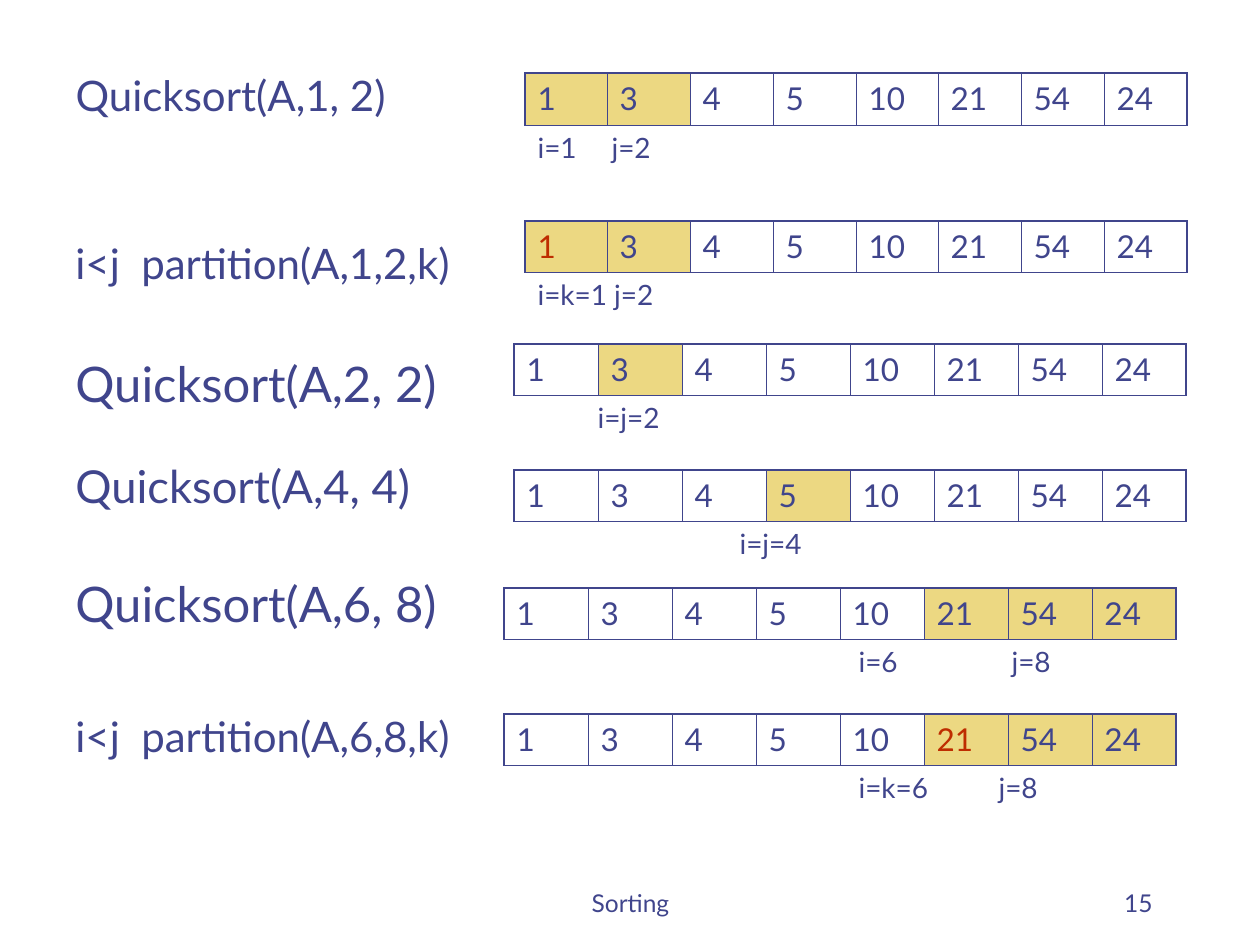
"""Build the slide that traces Quicksort calls on a sorted array."""
from pptx import Presentation, util as u
from pptx.dml.color import RGBColor
from pptx.enum import text
from pptx.oxml import parse_xml
from pptx.oxml.ns import nsdecls

PX = u.Inches(1) / 126
THEME = {
    "font": "Lato", "ink": "40458C", "pivot": "BE2D00", "active": "ECD882",
    "call": 24, "call_mid": 25.9, "call_large": 28, "value": 18, "index": 16, "footer": 14,
    "thin": 0.45, "thick": 1.08,
    "plain_table": "{2D5ABB26-0587-4C30-8999-92F81FD0307C}",
}
VALUES = [1, 3, 4, 5, 10, 21, 54, 24]
COUNT = len(VALUES)
LEFT, CENTER, RIGHT, JUSTIFY = (text.PP_ALIGN.LEFT, text.PP_ALIGN.CENTER,
                                text.PP_ALIGN.RIGHT, text.PP_ALIGN.JUSTIFY)


def write(frame, words, size, color="ink", align=LEFT, tabs=()):
    para = frame.paragraphs[0]
    para.alignment = align
    if tabs:
        stops = "".join(f'<a:tab pos="{round(stop * PX)}" algn="l"/>' for stop in tabs)
        para._p.get_or_add_pPr().append(
            parse_xml(f'<a:tabLst {nsdecls("a")}>{stops}</a:tabLst>'))
    span = para.add_run()
    span.text = words
    for name, value in {"name": THEME["font"], "size": u.Pt(THEME[size])}.items():
        setattr(span.font, name, value)
    span.font.color.rgb = RGBColor.from_string(THEME[color])
    return para


def draw_borders(cell, weights):
    properties = cell._tc.get_or_add_tcPr()
    for position, (side, weight) in enumerate(weights.items()):
        properties.insert(position, parse_xml(
            f'<a:{side} {nsdecls("a")} w="{u.Pt(THEME[weight])}"><a:solidFill>'
            f'<a:srgbClr val="{THEME["ink"]}"/></a:solidFill></a:{side}>'))


deck = Presentation()
deck.slide_width, deck.slide_height = u.Inches(10), u.Inches(7.5)
page = deck.slides.add_slide(deck.slide_layouts[1])
title = page.shapes.title
title._element.getparent().remove(title._element)
body = page.placeholders[1]

for words, left, width, align in [("Sorting", 431, 399, CENTER), ("15", 903, 262, RIGHT)]:
    box = page.shapes.add_textbox(*(round(n * PX) for n in (left, 861, width, 63)))
    box.text_frame.word_wrap = True
    box.text_frame.vertical_anchor = text.MSO_ANCHOR.BOTTOM
    write(box.text_frame, words, "footer", align=align)

calls = [
    ("Quicksort(A,1, 2)", "call", (73, 357, 95), LEFT, ()),
    ("i<j\tpartition(A,1,2,k)", "call", (231, 441, 63), JUSTIFY, (66,)),
    ("Quicksort(A,2, 2)", "call_large", (347, 410, 95), LEFT, ()),
    ("Quicksort(A,4, 4)", "call_mid", (452, 399, 95), LEFT, ()),
    ("Quicksort(A,6, 8)", "call_large", (567, 420, 95), LEFT, ()),
    ("i<j\tpartition(A,6,8,k)", "call", (704, 441, 63), JUSTIFY, (66,)),
]
for number, (words, size, (top, width, height), align, tabs) in enumerate(calls):
    box = page.shapes.add_textbox(0, 0, 0, 0) if number else body
    place = {"left": 63, "top": top, "width": width, "height": height}
    for name, value in place.items():
        setattr(box, name, round(value * PX))
    frame = box.text_frame
    frame.word_wrap, frame.auto_size = True, text.MSO_AUTO_SIZE.NONE
    para = write(frame, words, size, align=align, tabs=tabs)
    if box is body:
        properties = para._p.get_or_add_pPr()
        properties.set("marL", "0")
        properties.set("indent", "0")
        properties.append(parse_xml(f'<a:buNone {nsdecls("a")}/>'))
        para.line_spacing, para.space_before = 0.8, u.Pt(0)

# left, top, width, value row height, active columns, pivot column, index words, stops, span
arrays = [
    (525, 73, 662, 52, (0, 1), None, "i=1\tj=2", (74,), 6),
    (525, 221, 662, 51, (0, 1), 0, "i=k=1 j=2", (), 6),
    (514, 344, 672, 51, (1,), None, "\ti=j=2", (71,), 6),
    (514, 470, 672, 51, (3,), None, "\ti=j=4", (213,), 6),
    (504, 588, 672, 51, (5, 6, 7), None, "\ti=6\tj=8", (342, 495), 8),
    (504, 714, 672, 51, (5, 6, 7), 5, "\ti=k=6\tj=8", (342, 482), 8),
]
for left, top, width, height, active, pivot, words, stops, reach in arrays:
    holder = page.shapes.add_table(
        2, COUNT, *(round(n * PX) for n in (left, top, width, height + 46)))
    table = holder.table
    table.first_row = table.horz_banding = False
    table._tbl.tblPr[0].text = THEME["plain_table"]
    table.rows[0].height, table.rows[1].height = round(height * PX), round(46 * PX)
    for column, value in enumerate(VALUES):
        edges = [width * step // COUNT for step in (column, column + 1)]
        table.columns[column].width = round((edges[1] - edges[0]) * PX)
        cell, below = table.cell(0, column), table.cell(1, column)
        below.fill.background()
        if column in active:
            cell.fill.solid()
            cell.fill.fore_color.rgb = RGBColor.from_string(THEME["active"])
        else:
            cell.fill.background()
        draw_borders(cell, {
            "lnL": "thin" if column else "thick",
            "lnR": "thick" if column == COUNT - 1 else "thin",
            "lnT": "thick", "lnB": "thin"})
        draw_borders(below, {"lnT": "thin"})
        write(cell.text_frame, str(value), "value", "pivot" if column == pivot else "ink")
    table.cell(1, 0).merge(table.cell(1, reach - 1))
    if reach < COUNT:
        table.cell(1, reach).merge(table.cell(1, COUNT - 1))
    write(table.cell(1, 0).text_frame, words, "index", tabs=stops)

deck.save("out.pptx")
